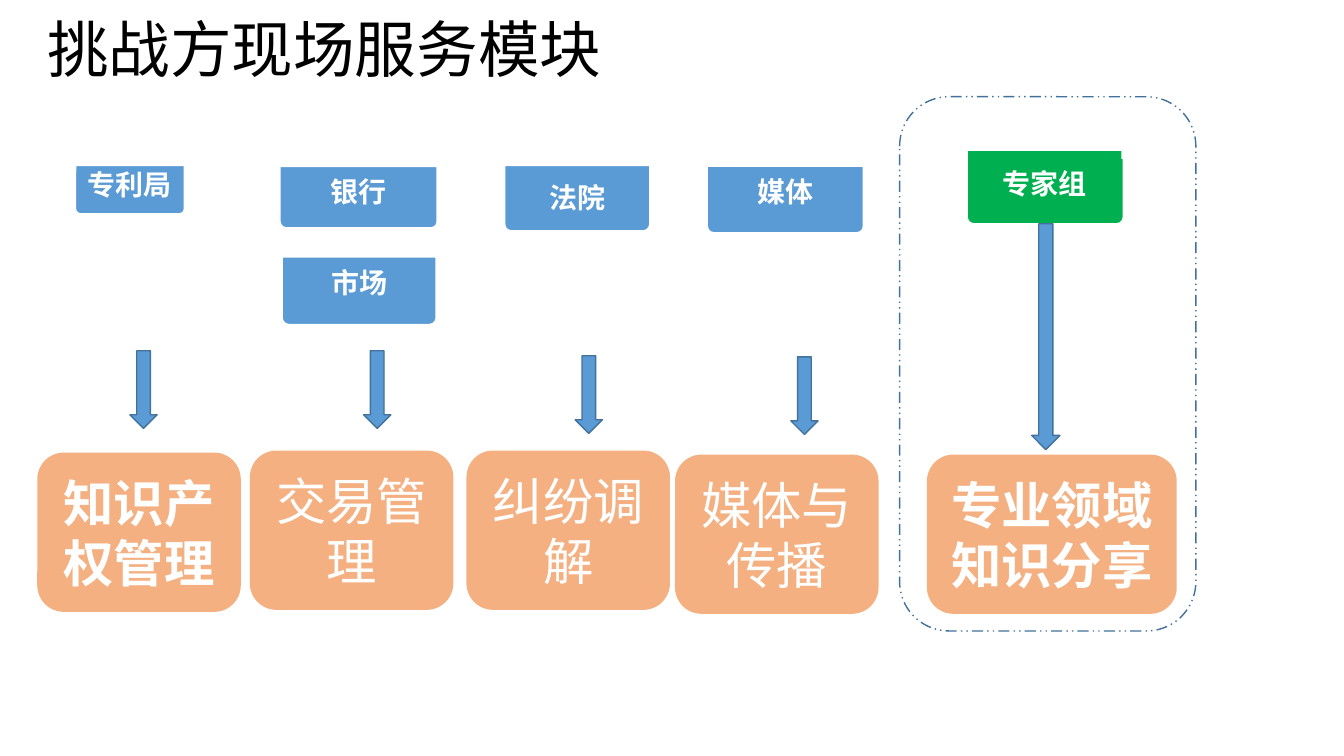
from dataclasses import dataclass

from lxml import etree
from pptx import Presentation
from pptx.dml.color import RGBColor
from pptx.enum.dml import MSO_LINE
from pptx.enum.shapes import MSO_SHAPE
from pptx.enum.text import MSO_ANCHOR, PP_ALIGN
from pptx.oxml.ns import qn
from pptx.util import Inches, Pt

TAB_SHAPE = MSO_SHAPE.ROUND_2_SAME_RECTANGLE
CARD_SHAPE = MSO_SHAPE.ROUNDED_RECTANGLE
ARROW_SHAPE = MSO_SHAPE.DOWN_ARROW
PLAIN_SHAPE = MSO_SHAPE.RECTANGLE
FRAME_DASH = MSO_LINE.DASH_DOT_DOT
CENTER = PP_ALIGN.CENTER
LEFT = PP_ALIGN.LEFT
TOP = MSO_ANCHOR.TOP
MIDDLE = MSO_ANCHOR.MIDDLE


@dataclass(frozen=True)
class Theme:
    """Colours, font and type sizes of the slide."""
    font: str = "Noto Sans CJK SC"
    black: str = "000000"
    white: str = "FFFFFF"
    blue: str = "5B9BD5"
    outline: str = "42719B"
    orange: str = "F4B081"
    green: str = "00B050"
    title_size: int = 44
    card_size: int = 36
    tab_size: int = 20


@dataclass(frozen=True)
class Box:
    """A rectangle in inches."""
    left: float
    top: float
    width: float
    height: float

    def inside(self, dx, dy, width, height):
        """Return a box placed relative to this one."""
        return Box(self.left + dx, self.top + dy, width, height)

    def lengths(self):
        """Return left, top, width and height as lengths."""
        return [Inches(v) for v in (self.left, self.top, self.width, self.height)]


THEME = Theme()
CARD_HEIGHT = 1.58
LANE_TOP = 1.64
LANE_WIDTH = 2.02

LANES = [
    (0.37, 4.43, "知识产权管理", True, (1.05, 1.84),
     [("专利局", 0.38, 0, 1.08, 0.48, 0.06)]),
    (2.48, 4.41, "交易管理", False, (1.26, 1.84),
     [("银行", 0.30, 0.01, 1.56, 0.61, 0.12), ("市场", 0.32, 0.91, 1.53, 0.67, 0.12)]),
    (4.63, 4.41, "纠纷调解", False, (1.21, 1.89),
     [("法院", 0.38, 0, 1.44, 0.65, 0.19)]),
    (6.70, 4.45, "媒体与传播", False, (1.28, 1.90),
     [("媒体", 0.32, 0.01, 1.55, 0.66, 0.12)]),
]


def add_block(slide, kind, box, fill=None, line=None):
    """Add a preset shape with the given fill and outline."""
    block = slide.shapes.add_shape(kind, *box.lengths())
    block.shadow.inherit = False
    if fill:
        block.fill.solid()
        block.fill.fore_color.rgb = RGBColor.from_string(fill)
    else:
        block.fill.background()
    if line:
        block.line.color.rgb = RGBColor.from_string(line)
        block.line.width = Pt(1)
    else:
        block.line.fill.background()
    return block


def write(holder, words, size, color, bold=False, align=CENTER, anchor=MIDDLE,
          side=0.1, top=0.05, spacing=1.0):
    """Write one paragraph into a shape or text box."""
    frame = holder.text_frame
    frame.word_wrap = True
    frame.vertical_anchor = anchor
    frame.margin_left = frame.margin_right = Inches(side)
    frame.margin_top = Inches(top)
    frame.margin_bottom = Inches(0.05)
    paragraph = frame.paragraphs[0]
    paragraph.alignment = align
    paragraph.line_spacing = spacing
    run = paragraph.add_run()
    run.text = words
    run.font.size = Pt(size)
    run.font.bold = bold
    run.font.color.rgb = RGBColor.from_string(color)
    run.font.name = THEME.font
    east_asian = etree.SubElement(run._r.get_or_add_rPr(), qn("a:ea"))
    east_asian.set("typeface", THEME.font)


def add_title(slide, box, words):
    """Add the slide title."""
    title = slide.shapes.add_textbox(*box.lengths())
    write(title, words, THEME.title_size, THEME.black, align=LEFT, anchor=TOP, spacing=0.9)


def write_tab(tab, words, top):
    """Write the label of a party tab on one line."""
    write(tab, words, THEME.tab_size, THEME.white, True, anchor=TOP,
          side=0.05, top=top, spacing=0.9)


def add_tab(slide, box, fill):
    """Add a party tab with rounded bottom corners."""
    tab = add_block(slide, TAB_SHAPE, box, fill, THEME.white)
    tab.adjustments[0] = 0
    tab.adjustments[1] = 0.1
    return tab


def add_card(slide, box, words, bold):
    """Add an orange service card."""
    card = add_block(slide, CARD_SHAPE, box, THEME.orange)
    write(card, words, THEME.card_size, THEME.white, bold)


def add_arrow(slide, box):
    """Add a downward block arrow."""
    add_block(slide, ARROW_SHAPE, box, THEME.blue, THEME.outline)


def add_lane(slide, box, service, bold, arrow, parties):
    """Add party tabs, an arrow and the service card below them."""
    for party, dx, dy, width, height, text_top in parties:
        tab = add_tab(slide, box.inside(dx, dy, width, height), THEME.blue)
        write_tab(tab, party, text_top)
    add_arrow(slide, box.inside(arrow[0] - 0.13, arrow[1], 0.27, 0.77))
    card_top = box.height - CARD_HEIGHT
    add_card(slide, box.inside(0, card_top, box.width, CARD_HEIGHT), service, bold)


def add_expert_group(slide, box):
    """Add the framed expert group lane."""
    add_tab(slide, box.inside(0.67, 0.61, 1.55, 0.65), THEME.green)
    label = add_block(slide, PLAIN_SHAPE, box.inside(0.68, 0.54, 1.52, 0.57), THEME.green)
    write_tab(label, "专家组", 0.19)
    add_arrow(slide, box.inside(1.31, 1.26, 0.28, 2.24))
    frame = add_block(slide, CARD_SHAPE, box, line=THEME.outline)
    frame.line.dash_style = FRAME_DASH
    add_card(slide, box.inside(0.27, 3.55, 2.48, CARD_HEIGHT), "专业领域知识分享", True)


def main():
    """Build the slide and save it."""
    deck = Presentation()
    deck.slide_width = Inches(13.34)
    deck.slide_height = Inches(7.5)
    slide = deck.slides.add_slide(deck.slide_layouts[6])
    add_title(slide, Box(0.37, 0.14, 11.5, 1.45), "挑战⽅现场服务模块")
    for left, height, *content in LANES:
        add_lane(slide, Box(left, LANE_TOP, LANE_WIDTH, height), *content)
    add_expert_group(slide, Box(8.93, 0.96, 2.94, 5.3))
    deck.save("out.pptx")


if __name__ == "__main__":
    main()
